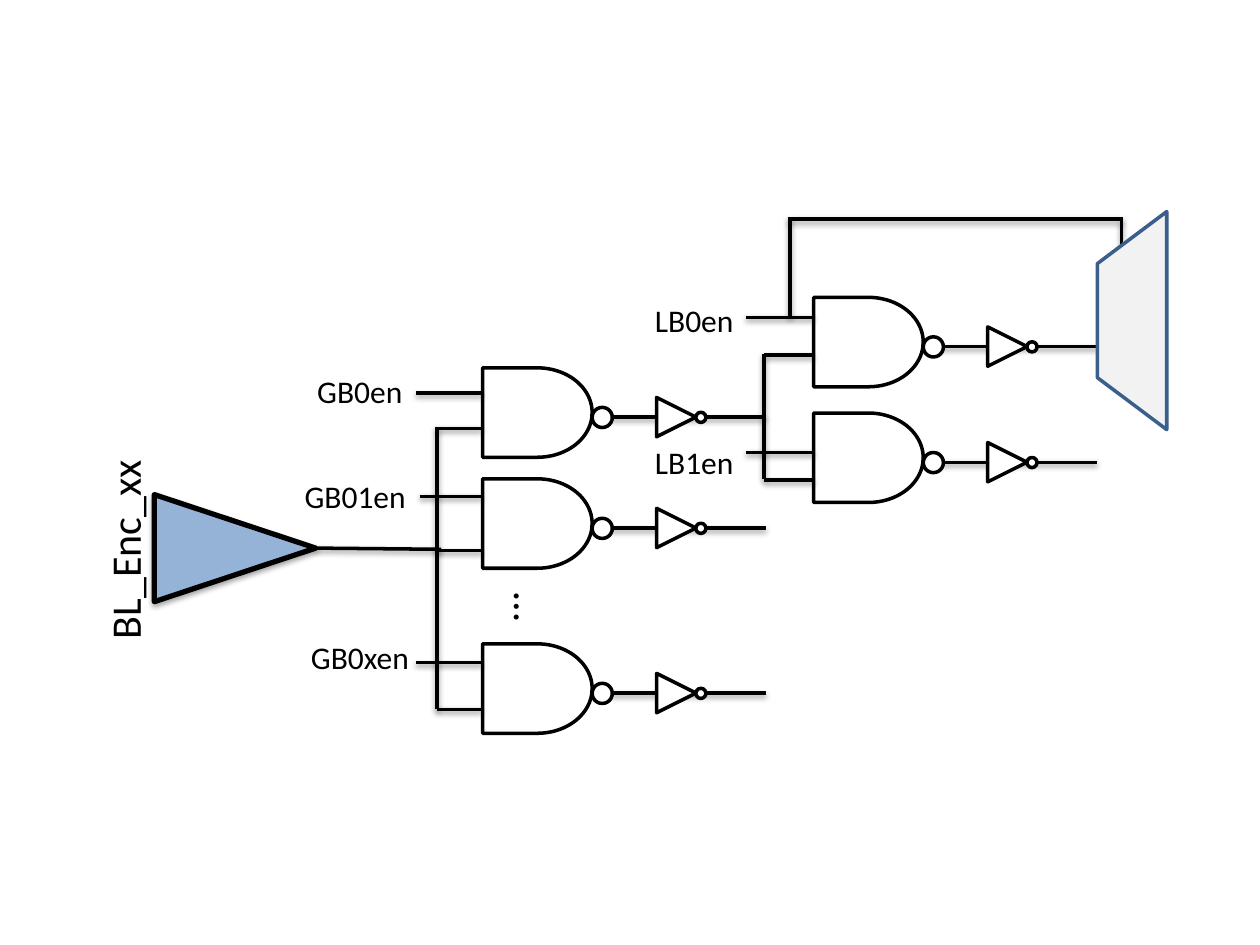
"""Build a slide with a bit-line enable circuit of gates, inverters and wires."""
import pptx
import pptx.util
import pptx.dml.color
import pptx.enum.shapes
import pptx.enum.text

Pt = pptx.util.Pt
Kind = pptx.enum.shapes.MSO_SHAPE
color = pptx.dml.color.RGBColor.from_string


def add_part(shapes, kind, box, fill="FFFFFF", line="000000", width=2, rotation=0):
    """Add a filled, outlined shape."""
    shape = shapes.add_shape(kind, *map(Pt, box))
    shape.rotation = rotation
    shape.fill.solid()
    shape.fill.fore_color.rgb = color(fill)
    shape.line.color.rgb = color(line)
    shape.line.width = Pt(width)
    return shape


def add_wire(shapes, *ends):
    """Add a black straight wire."""
    wire = shapes.add_connector(pptx.enum.shapes.MSO_CONNECTOR.STRAIGHT, *map(Pt, ends))
    wire.line.color.rgb = color("000000")
    wire.line.width = Pt(2)


presentation = pptx.Presentation()
presentation.slide_width = Pt(720)
presentation.slide_height = Pt(540)
slide = presentation.slides.add_slide(presentation.slide_layouts[6])

add_part(slide.shapes, Kind.ISOSCELES_TRIANGLE, (103.7, 267.1, 61.2, 92.2),
         fill="95B3D7", width=3, rotation=90)

gate_parts = [
    (Kind.FLOWCHART_DELAY, 0, 0, 62.6, 51.1, 0),
    (Kind.FLOWCHART_CONNECTOR, 62.6, 22.6, 11.5, 11.5, 0),
    (Kind.ISOSCELES_TRIANGLE, 99.4, 16.9, 22.5, 22.5, 90),
    (Kind.FLOWCHART_CONNECTOR, 121.8, 25.4, 5.8, 5.8, 0),
]
global_left, local_left = 275.8, 465
gates = [(global_left, 210.2), (global_left, 273.6), (global_left, 367.9),
         (local_left, 169.9), (local_left, 236)]
for left, top in gates:
    group = slide.shapes.add_group_shape()
    add_wire(group.shapes, left + 73.4, top + 28.2, left + 162, top + 28.2)
    for kind, x, y, width, height, rotation in gate_parts:
        part = add_part(group.shapes, kind, (left + x, top + y, width, height), rotation=rotation)
        part.shadow.inherit = False

global_bus, local_bus = 249.8, 436.6
wires = [
    (180.7, 313.2, 252, 313.9),
    (global_bus, 244.1, global_bus, 405.4),
    (local_bus, 202.3, local_bus, 274),
    (451.4, 181.4, 451.4, 124.6),
    (450, 125.3, 642, 125.3),
    (640.8, 126, 640.8, 169.2),
]
wires += [(global_bus, y, global_left, y) for y in (244.8, 314.6, 405.4)]
wires += [(local_bus, y, local_left, y) for y in (203, 274.3)]
wires += [(x, y, global_left, y) for x, y in ((237.6, 224.6), (239.8, 283.7), (237.6, 378.7))]
wires += [(426.2, y, local_left, y) for y in (181.4, 258.5)]
for ends in wires:
    add_wire(slide.shapes, *ends)

labels = [
    ("GB0en", 174.2, 208.8, 64.1, 29.1, 18, 0),
    ("GB01en", 167, 269.3, 72.7, 29.1, 18, 0),
    ("GB0xen", 170.6, 361, 71.3, 29.1, 18, 0),
    ("LB0en", 367.2, 168.5, 59.8, 29.1, 18, 0),
    ("LB1en", 367.2, 249.4, 59.8, 29.1, 18, 0),
    ("BL_Enc_xx", 12.2, 295.2, 118, 36.4, 24, 270),
    ("…", 287.3, 329, 31.7, 36.4, 24, 90),
]
for text, left, top, width, height, size, rotation in labels:
    box = slide.shapes.add_textbox(*map(Pt, (left, top, width, height)))
    box.rotation = rotation
    box.text_frame.word_wrap = False
    box.text_frame.auto_size = pptx.enum.text.MSO_AUTO_SIZE.SHAPE_TO_FIT_TEXT
    paragraph = box.text_frame.paragraphs[0]
    paragraph.text = text
    paragraph.font.name = "Calibri"
    paragraph.font.size = Pt(size)
    paragraph.font.color.rgb = color("000000")

multiplexer = add_part(slide.shapes, Kind.TRAPEZOID, (584.6, 163.4, 124.6, 39.6),
                       fill="F2F2F2", line="3A5F8C", rotation=270)
multiplexer.adjustments[0] = 0.75
multiplexer.shadow.inherit = False

presentation.save("out.pptx")
